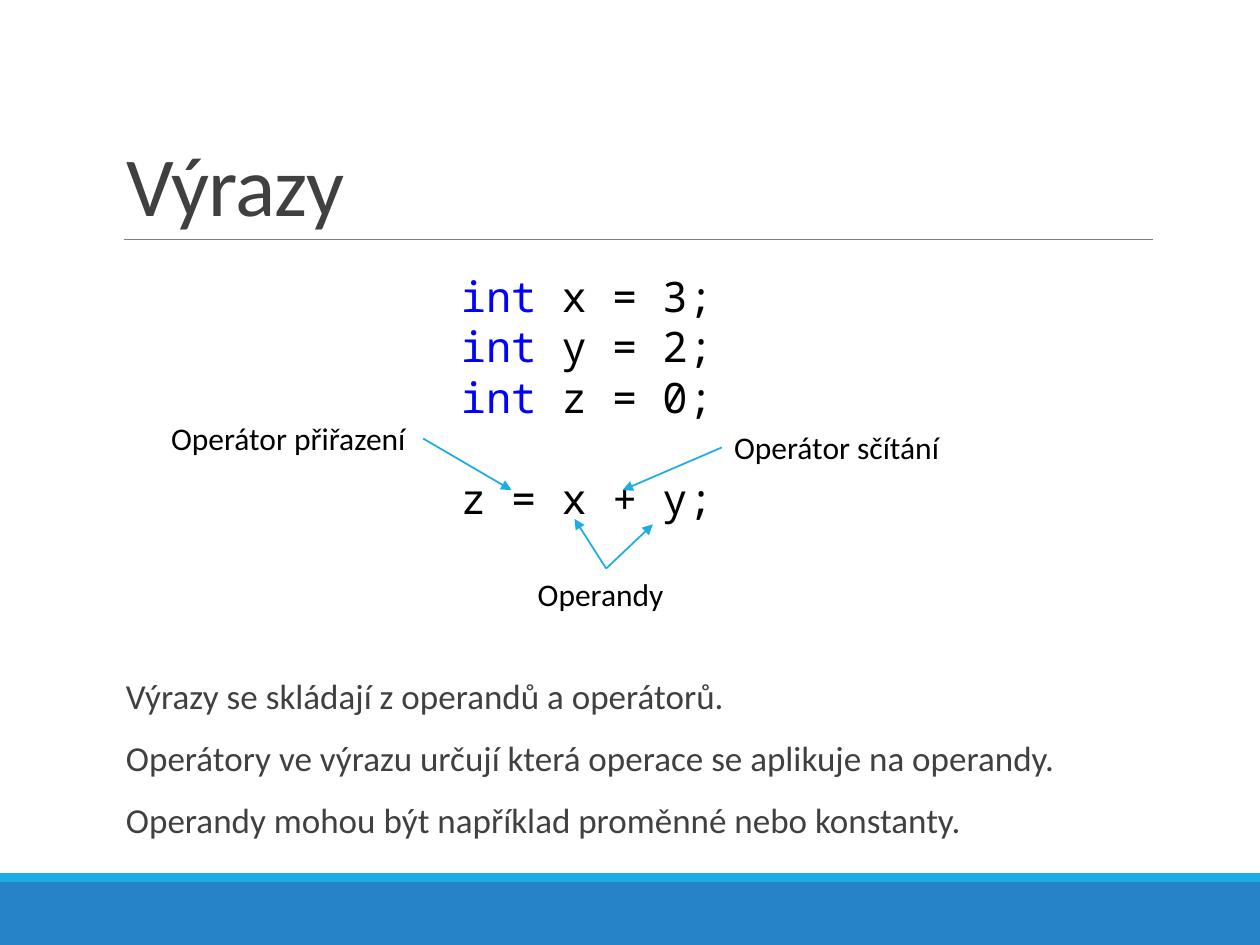
from lxml.etree import SubElement
from pptx import Presentation
from pptx.dml.color import RGBColor
from pptx.enum.shapes import MSO_CONNECTOR, MSO_SHAPE
from pptx.enum.text import MSO_ANCHOR, MSO_AUTO_SIZE, PP_ALIGN
from pptx.oxml.ns import qn
from pptx.util import Cm, Pt

BLUE = RGBColor(0x26, 0x83, 0xC6)
CYAN = RGBColor(0x1C, 0xAD, 0xE4)
GRAY = RGBColor(0x80, 0x80, 0x80)
DARK = RGBColor(0x40, 0x40, 0x40)
BLACK = RGBColor(0, 0, 0)
KEYWORD = RGBColor(0, 0, 0xFF)


class SlideBuilder:
    text_font = "Calibri"
    code_font = "Noto Sans Mono"

    def __init__(self, slide):
        self.slide = slide

    def style(self, paragraph, size, color, name=text_font):
        paragraph.font.size = Pt(size)
        paragraph.font.name = name
        paragraph.font.color.rgb = color

    def title(self, text, left, top, width, height):
        title = self.slide.shapes.title
        title.left, title.top = Cm(left), Cm(top)
        title.width, title.height = Cm(width), Cm(height)
        frame = title.text_frame
        frame.text = text
        frame.auto_size = MSO_AUTO_SIZE.NONE
        frame.vertical_anchor = MSO_ANCHOR.BOTTOM
        heading = frame.paragraphs[0]
        heading.alignment = PP_ALIGN.LEFT
        heading.line_spacing = 0.85
        self.style(heading, 48, DARK)
        heading.runs[0]._r.get_or_add_rPr().set("spc", "-50")

    def band(self, top, height, color):
        band = self.slide.shapes.add_shape(
            MSO_SHAPE.RECTANGLE, 0, Cm(top), Cm(25.4), Cm(height))
        band.shadow.inherit = False
        band.fill.solid()
        band.fill.fore_color.rgb = color
        band.line.fill.background()

    def line(self, start, end, color, width, arrow=False):
        points = [Cm(value) for value in (*start, *end)]
        line = self.slide.shapes.add_connector(MSO_CONNECTOR.STRAIGHT, *points)
        line.line.color.rgb = color
        line.line.width = Pt(width)
        if arrow:
            SubElement(line.line._get_or_add_ln(), qn("a:tailEnd"), type="triangle")
        SubElement(line._element.spPr, qn("a:effectLst"))

    def text_frame(self, left, top, width, height):
        box = self.slide.shapes.add_textbox(Cm(left), Cm(top), Cm(width), Cm(height))
        box.text_frame.word_wrap = True
        return box.text_frame

    def label(self, text, left, top, width):
        frame = self.text_frame(left, top, width, 1.02)
        frame.text = text
        self.style(frame.paragraphs[0], 18, BLACK)

    def body(self, sentences, *place):
        frame = self.text_frame(*place)
        frame.text = "\n".join(sentences)
        for index, paragraph in enumerate(frame.paragraphs):
            self.style(paragraph, 20, DARK)
            paragraph.line_spacing = 0.9
            paragraph.space_before = Pt(12 if index else 0)
            paragraph.space_after = Pt(2)

    def code(self, declarations, expression, *place):
        frame = self.text_frame(*place)
        frame.text = "\n".join(["int"] * len(declarations) + [expression])
        for paragraph, declaration in zip(frame.paragraphs, declarations):
            paragraph.runs[0].font.color.rgb = KEYWORD
            paragraph.add_run().text = f" {declaration}"
        for paragraph in frame.paragraphs:
            self.style(paragraph, 24, BLACK, self.code_font)
        frame.paragraphs[-1].space_before = Pt(29)


def main():
    presentation = Presentation()
    presentation.slide_width, presentation.slide_height = Cm(25.4), Cm(19.05)
    builder = SlideBuilder(presentation.slides.add_slide(presentation.slide_layouts[5]))

    builder.band(17.78, 1.27, BLUE)
    builder.band(17.6, 0.18, CYAN)
    builder.line((2.49, 4.83), (23.24, 4.83), GRAY, 0.5)
    builder.title("Výrazy", 2.29, 0.79, 20.96, 4.04)
    builder.body([
        "Výrazy se skládají z operandů a operátorů.",
        "Operátory ve výrazu určují která operace se aplikuje na operandy.",
        "Operandy mohou být například proměnné nebo konstanty.",
    ], 2.29, 13.56, 20.96, 3.99)
    builder.code(["x = 3;", "y = 2;", "z = 0;"], "z = x + y;", 9.04, 5.33, 6.35, 5.38)

    builder.label("Operátor sčítání", 14.55, 8.51, 4.85)
    builder.label("Operátor přiřazení", 3.2, 8.33, 5.33)
    builder.label("Operandy", 10.59, 11.46, 3.28)

    operands = (12.22, 11.46)
    for start, end in [
        ((14.55, 9.02), (12.55, 9.88)),
        ((8.53, 8.84), (10.31, 9.88)),
        (operands, (11.58, 10.46)),
        (operands, (13.16, 10.57)),
    ]:
        builder.line(start, end, CYAN, 1, arrow=True)

    presentation.save("out.pptx")


if __name__ == "__main__":
    main()
